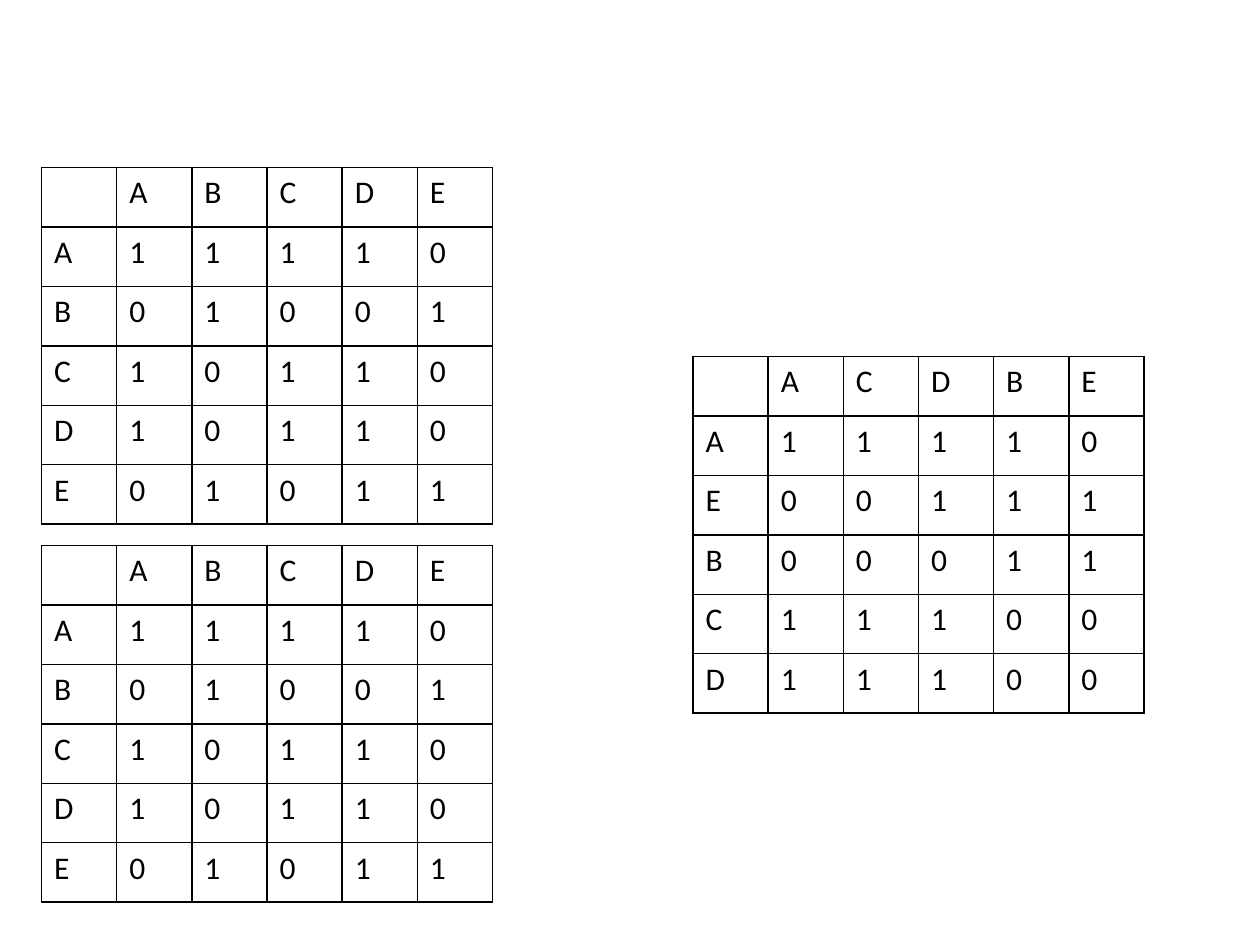
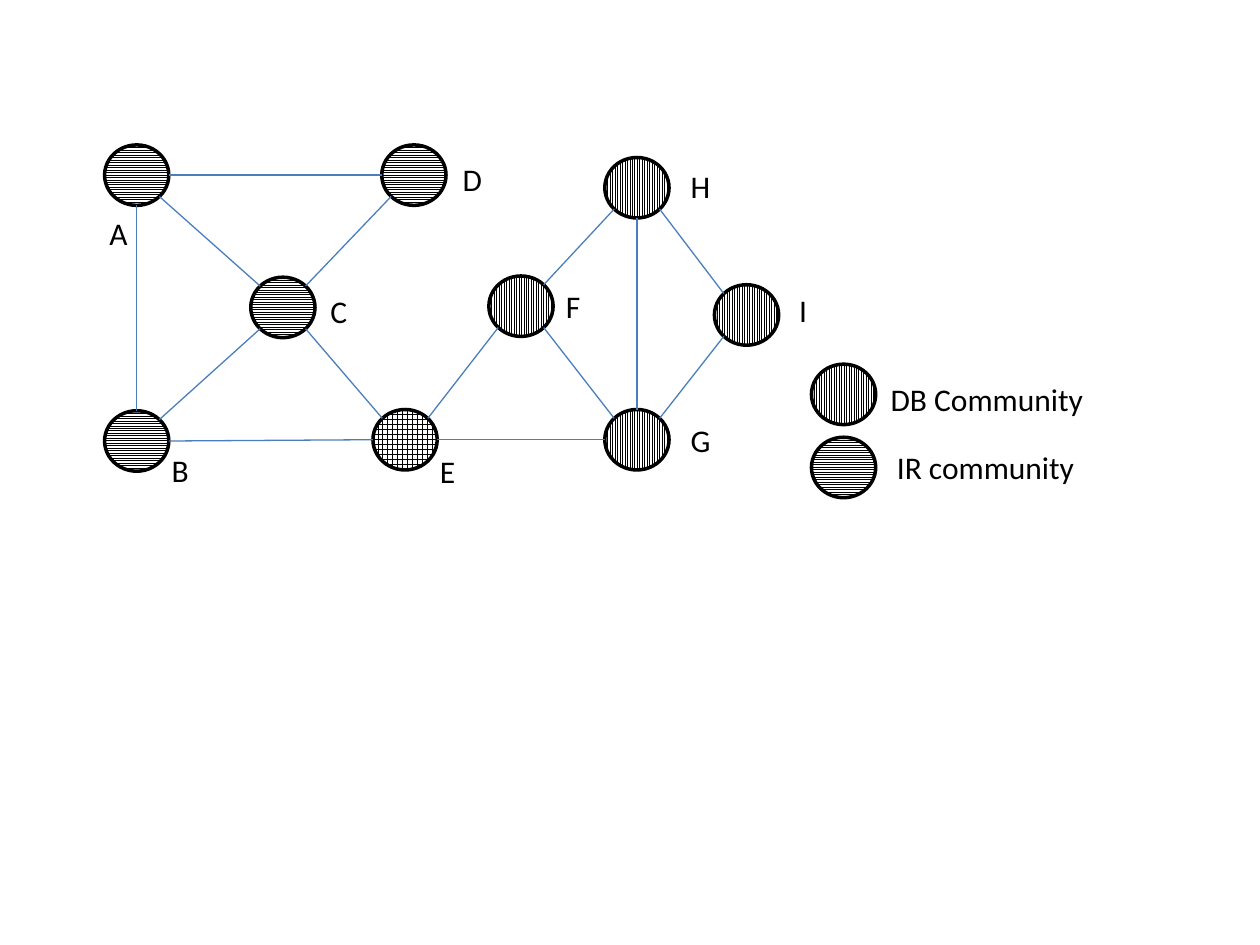
from dataclasses import dataclass
from math import atan2, cos, pi, sin

from lxml.etree import SubElement
from pptx import Presentation
from pptx.dml.color import RGBColor
from pptx.enum.dml import MSO_PATTERN as Pattern
from pptx.enum.shapes import MSO_CONNECTOR as Connector, MSO_SHAPE as Shape
from pptx.enum.text import MSO_AUTO_SIZE as AutoSize
from pptx.oxml.ns import qn
from pptx.slide import Slide
from pptx.text.text import _Paragraph as Paragraph
from pptx.util import Emu, Pt

PX = 9144


@dataclass(frozen=True)
class Theme:
    ink: RGBColor = RGBColor(0x00, 0x00, 0x00)
    paper: RGBColor = RGBColor(0xFF, 0xFF, 0xFF)
    link: RGBColor = RGBColor(0x4B, 0x7E, 0xBC)
    font: str = "Calibri"
    text_size: Pt = Pt(18)
    ring: Pt = Pt(2)
    link_width: Pt = Pt(0.75)
    grid_line: Pt = Pt(1)


@dataclass(frozen=True)
class Matrix:
    left: int
    top: int
    rows: tuple[str, ...]


@dataclass(frozen=True)
class Label:
    text: str
    left: int
    top: int
    width: int = 19
    wrap: bool = True


@dataclass(frozen=True)
class Member:
    left: int
    top: int
    community: Pattern
    label: Label


THEME = Theme()
MATRIX_WIDTH, MATRIX_HEIGHT = 358, 283
NODE_WIDTH, NODE_HEIGHT = 51, 48
LABEL_HEIGHT = 40

IR, DB, BOTH = Pattern.LIGHT_HORIZONTAL, Pattern.LIGHT_VERTICAL, Pattern.LARGE_GRID

ADJACENCY = (" ABCDE", "A11110", "B01001", "C10110", "D10110", "E01011")
REORDERED = (" ACDBE", "A11110", "E00111", "B00011", "C11100", "D11100")
MATRICES = (
    Matrix(550, 283, REORDERED),
    Matrix(33, 433, ADJACENCY),
    Matrix(33, 133, ADJACENCY),
)

MEMBERS = {
    member.label.text: member
    for member in (
        Member(83, 115, IR, Label("A", 77, 165, 25)),
        Member(83, 326, IR, Label("B", 127, 353)),
        Member(199, 220, IR, Label("C", 253, 227)),
        Member(303, 115, IR, Label("D", 358, 122)),
        Member(296, 325, BOTH, Label("E", 340, 354)),
        Member(388, 219, DB, Label("F", 440, 223)),
        Member(480, 325, DB, Label("G", 539, 329)),
        Member(480, 125, DB, Label("H", 539, 128)),
        Member(567, 226, DB, Label("I", 625, 226)),
    )
}
LINKS = "AB AC AD BE EF CD EG GF GH HF HI GI CE CB".split()
LEGEND = (
    Member(644, 289, DB, Label("DB Community", 697, 297, 175, False)),
    Member(644, 347, IR, Label("IR community", 702, 351, 162, False)),
)


def px(*lengths: float) -> list[Emu]:
    return [Emu(round(length * PX)) for length in lengths]


def write(paragraph: Paragraph, text: str) -> None:
    paragraph.text = text
    paragraph.font.name = THEME.font
    paragraph.font.size = THEME.text_size
    paragraph.font.color.rgb = THEME.ink


def draw_matrix(slide: Slide, matrix: Matrix) -> None:
    count = len(matrix.rows)
    grid = slide.shapes.add_table(
        count, count, *px(matrix.left, matrix.top, MATRIX_WIDTH, MATRIX_HEIGHT)
    ).table
    grid.first_row = grid.horz_banding = False
    for column in grid.columns:
        [column.width] = px(MATRIX_WIDTH / count)
    for row, marks in zip(grid.rows, matrix.rows):
        [row.height] = px(MATRIX_HEIGHT / count)
        for cell, mark in zip(row.cells, marks):
            properties = cell._tc.get_or_add_tcPr()
            for side in ("lnL", "lnR", "lnT", "lnB"):
                border = SubElement(properties, qn(f"a:{side}"), w=str(THEME.grid_line))
                fill = SubElement(border, qn("a:solidFill"))
                SubElement(fill, qn("a:srgbClr"), val=str(THEME.ink))
            cell.fill.background()
            write(cell.text_frame.paragraphs[0], mark.strip())


def draw_node(slide: Slide, member: Member) -> None:
    node = slide.shapes.add_shape(
        Shape.OVAL, *px(member.left, member.top, NODE_WIDTH, NODE_HEIGHT)
    )
    node.shadow.inherit = False
    node.fill.patterned()
    node.fill.pattern = member.community
    node.fill.fore_color.rgb = THEME.ink
    node.fill.back_color.rgb = THEME.paper
    node.line.color.rgb = THEME.ink
    node.line.width = THEME.ring


def rim_point(member: Member, toward: Member) -> list[Emu]:
    heading = atan2(toward.top - member.top, toward.left - member.left)
    angle = round(heading / (pi / 4)) * pi / 4
    return px(
        member.left + NODE_WIDTH / 2 * (1 + cos(angle)),
        member.top + NODE_HEIGHT / 2 * (1 + sin(angle)),
    )


def draw_link(slide: Slide, start: Member, end: Member) -> None:
    link = slide.shapes.add_connector(
        Connector.STRAIGHT, *rim_point(start, end), *rim_point(end, start)
    )
    link.line.color.rgb = THEME.link
    link.line.width = THEME.link_width
    SubElement(link._element.spPr, qn("a:effectLst"))


def draw_label(slide: Slide, label: Label) -> None:
    frame = slide.shapes.add_textbox(
        *px(label.left, label.top, label.width, LABEL_HEIGHT)
    ).text_frame
    frame.word_wrap = label.wrap
    frame.auto_size = AutoSize.SHAPE_TO_FIT_TEXT
    write(frame.paragraphs[0], label.text)


def build_matrices(slide: Slide) -> None:
    for matrix in MATRICES:
        draw_matrix(slide, matrix)


def build_network(slide: Slide) -> None:
    entries = (*MEMBERS.values(), *LEGEND)
    for member in entries:
        draw_node(slide, member)
    for start, end in LINKS:
        draw_link(slide, MEMBERS[start], MEMBERS[end])
    for member in entries:
        draw_label(slide, member.label)


def main() -> None:
    deck = Presentation()
    deck.slide_width, deck.slide_height = px(1000, 750)
    blank = deck.slide_layouts[6]
    for build in (build_matrices, build_network):
        build(deck.slides.add_slide(blank))
    deck.save("out.pptx")


if __name__ == "__main__":
    main()
